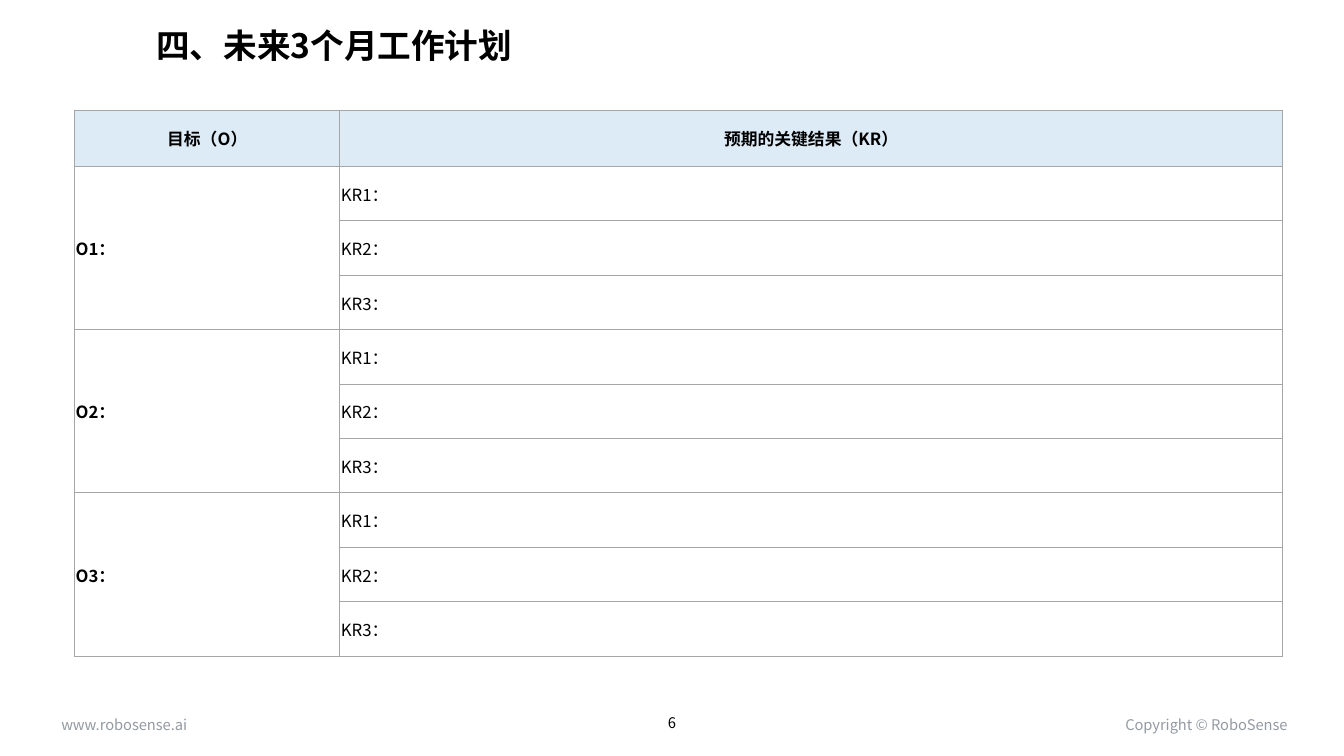
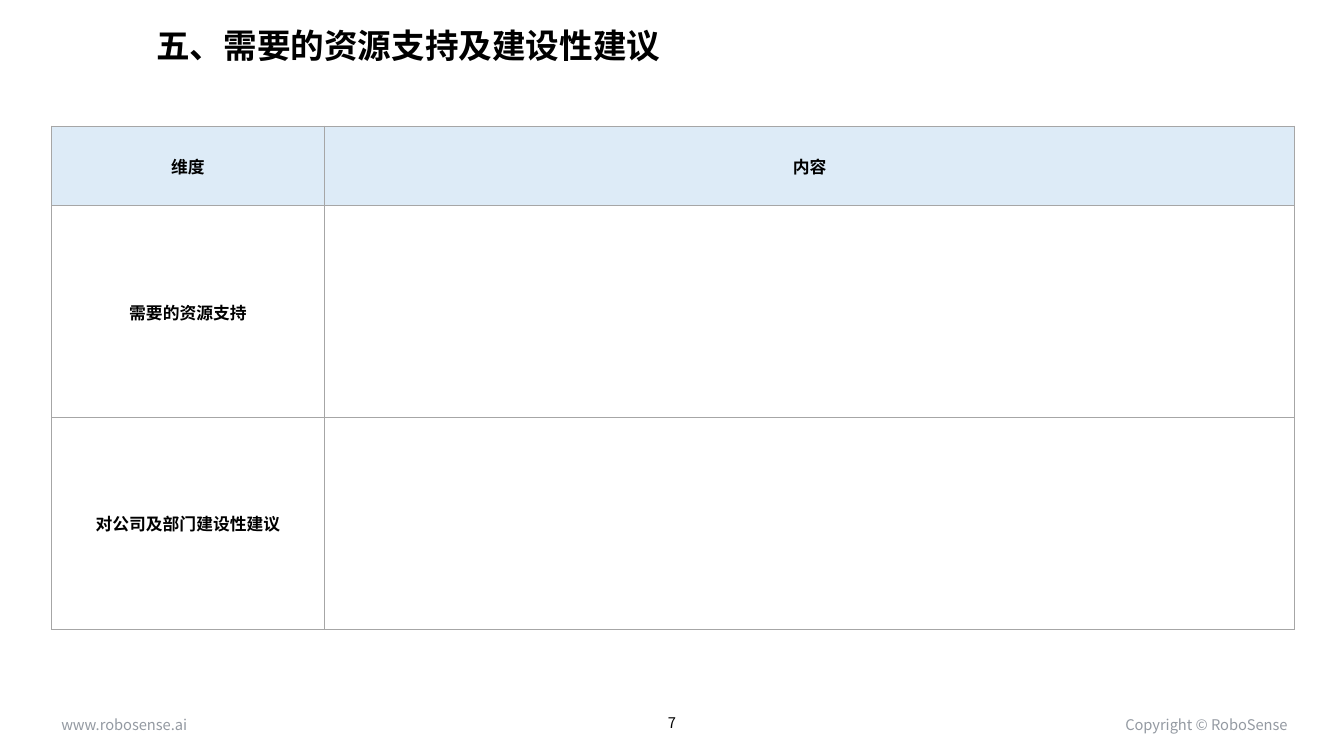
from dataclasses import dataclass

from lxml.etree import SubElement
from pptx import Presentation
from pptx.dml.color import RGBColor
from pptx.enum.text import MSO_ANCHOR, MSO_AUTO_SIZE, PP_ALIGN
from pptx.oxml.ns import qn
from pptx.util import Emu, Pt


@dataclass(frozen=True)
class Theme:
    font: str = "Noto Sans CJK SC"
    ink: str = "000000"
    muted: str = "949AA2"
    header: str = "DDEBF7"
    border: str = "A6A6A6"
    border_width: float = 0.5
    title_size: float = 24
    table_size: float = 12
    footer_size: float = 10.5


THEME = Theme()
PX = 9144
SLIDE_SIZE = (1333, 750)
TITLE_AREA = (145, 12, 1128, 70)
NUMBER_AREA = (524, 695, 285, 43)
FOOTERS = [
    ("www.robosense.ai", (51, 705, 147, 28), PP_ALIGN.LEFT),
    ("Copyright © RoboSense", (1088, 705, 199, 28), PP_ALIGN.RIGHT),
]

OBJECTIVES = ["O1：", "O2：", "O3："]
KEY_RESULTS = ["KR1：", "KR2：", "KR3："]
PAGES = [
    {
        "number": 6,
        "title": "四、未来3个月工作计划",
        "corner": (74, 109),
        "columns": (263, 935),
        "header_height": 56,
        "row_height": 54,
        "headings": ("目标（O）", "预期的关键结果（KR）"),
        "groups": [(objective, KEY_RESULTS) for objective in OBJECTIVES],
        "label_align": PP_ALIGN.LEFT,
    },
    {
        "number": 7,
        "title": "五、需要的资源支持及建设性建议",
        "corner": (51, 125),
        "columns": (271, 962),
        "header_height": 79,
        "row_height": 210,
        "headings": ("维度", "内容"),
        "groups": [("需要的资源支持", [""]), ("对公司及部门建设性建议", [""])],
        "label_align": PP_ALIGN.CENTER,
    },
]


def px(*lengths):
    return [Emu(length * PX) for length in lengths]


def write(frame, text, size, color=THEME.ink, bold=False, align=PP_ALIGN.LEFT, spacing=None):
    para = frame.paragraphs[0]
    para.alignment = align
    if spacing:
        para.line_spacing = spacing
    span = para.add_run()
    span.text = text
    span.font.size = Pt(size)
    span.font.bold = bold
    span.font.color.rgb = RGBColor.from_string(color)
    span.font.name = THEME.font
    SubElement(span.font._element, qn("a:ea"), typeface=THEME.font)


def add_title(page, text):
    title = page.shapes.title
    title.left, title.top, title.width, title.height = px(*TITLE_AREA)
    frame = title.text_frame
    frame.auto_size = MSO_AUTO_SIZE.NONE
    frame.vertical_anchor = MSO_ANCHOR.MIDDLE
    write(frame, text, THEME.title_size, bold=True, spacing=0.9)


def add_footers(page, number):
    for text, area, align in FOOTERS:
        frame = page.shapes.add_textbox(*px(*area)).text_frame
        frame.word_wrap = False
        frame.auto_size = MSO_AUTO_SIZE.SHAPE_TO_FIT_TEXT
        write(frame, text, THEME.footer_size, color=THEME.muted, align=align)
    frame = page.shapes.add_textbox(*px(*NUMBER_AREA)).text_frame
    frame.word_wrap = True
    frame.vertical_anchor = MSO_ANCHOR.MIDDLE
    write(frame, str(number), THEME.footer_size, align=PP_ALIGN.CENTER)


def style_cell(cell, is_header):
    cell.margin_left, cell.margin_right, cell.margin_top, cell.margin_bottom = px(1, 1, 1, 0)
    cell.vertical_anchor = MSO_ANCHOR.MIDDLE
    properties = cell._tc.get_or_add_tcPr()
    for side in ("lnL", "lnR", "lnT", "lnB"):
        line = SubElement(properties, qn(f"a:{side}"), w=str(Pt(THEME.border_width)))
        SubElement(SubElement(line, qn("a:solidFill")), qn("a:srgbClr"), val=THEME.border)
    if is_header:
        cell.fill.solid()
        cell.fill.fore_color.rgb = RGBColor.from_string(THEME.header)
    else:
        cell.fill.background()


def add_plan_table(page, content):
    groups = content["groups"]
    columns = content["columns"]
    body_count = sum(len(details) for _, details in groups)
    heights = [content["header_height"]] + [content["row_height"]] * body_count
    table = page.shapes.add_table(
        len(heights), len(columns), *px(*content["corner"], sum(columns), sum(heights))
    ).table
    table.first_row = False
    table.horz_banding = False
    for column, width in zip(table.columns, px(*columns)):
        column.width = width
    for index, (row, height) in enumerate(zip(table.rows, px(*heights))):
        row.height = height
        for cell in row.cells:
            style_cell(cell, is_header=index == 0)

    for column, heading in enumerate(content["headings"]):
        write(table.cell(0, column).text_frame, heading, THEME.table_size,
              bold=True, align=PP_ALIGN.CENTER)
    top = 1
    for label, details in groups:
        label_cell = table.cell(top, 0)
        if len(details) > 1:
            label_cell.merge(table.cell(top + len(details) - 1, 0))
        write(label_cell.text_frame, label, THEME.table_size,
              bold=True, align=content["label_align"])
        for row, detail in enumerate(details, top):
            if detail:
                write(table.cell(row, 1).text_frame, detail, THEME.table_size)
        top += len(details)


def main():
    deck = Presentation()
    deck.slide_width, deck.slide_height = px(*SLIDE_SIZE)
    title_only = deck.slide_layouts[5]
    for content in PAGES:
        page = deck.slides.add_slide(title_only)
        add_title(page, content["title"])
        add_footers(page, content["number"])
        add_plan_table(page, content)
    deck.save("out.pptx")


if __name__ == "__main__":
    main()
